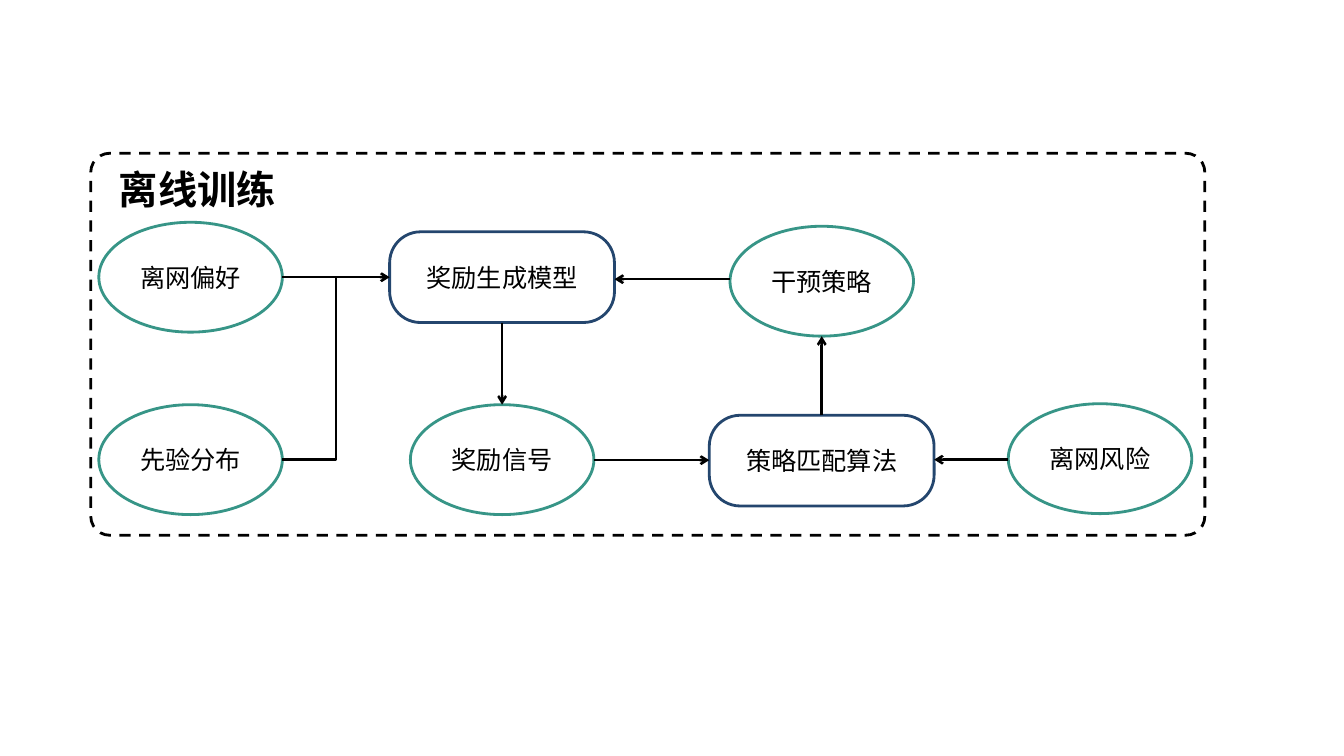
from pptx import Presentation, util as u
from pptx.dml.color import RGBColor
from pptx.enum import dml, shapes, text
from pptx.oxml.ns import qn
from lxml import etree

TEAL = RGBColor(0x37, 0x95, 0x87)
NAVY = RGBColor(0x24, 0x46, 0x6E)
BLACK = RGBColor(0, 0, 0)
KIND = shapes.MSO_SHAPE
LINK = shapes.MSO_CONNECTOR

OVAL = (KIND.OVAL, 1.82, 1.09, TEAL)
STEP = (KIND.ROUNDED_RECTANGLE, 2.23, 0.9, NAVY)
NODES = {
    "离网偏好": (OVAL, 1.89, 2.75),
    "先验分布": (OVAL, 1.89, 4.56),
    "奖励生成模型": (STEP, 4.98, 2.75),
    "奖励信号": (OVAL, 4.98, 4.56),
    "策略匹配算法": (STEP, 8.15, 4.57),
    "干预策略": (OVAL, 8.15, 2.79),
    "离网风险": (OVAL, 10.91, 4.55),
}
FLOWS = [
    ("离网偏好", "奖励生成模型"),
    ("干预策略", "奖励生成模型"),
    ("奖励生成模型", "奖励信号"),
    ("奖励信号", "策略匹配算法"),
    ("策略匹配算法", "干预策略"),
    ("离网风险", "策略匹配算法"),
]
TITLE = "离线训练"


def inches(*vals):
    return [u.Inches(v) for v in vals]


def outline(kind, box, color):
    shape = page.shapes.add_shape(kind, *inches(*box))
    shape.shadow.inherit = False
    shape.fill.background()
    shape.line.color.rgb = color
    shape.line.width = u.Pt(2)
    return shape


def style(frame, size, font, bold=False):
    frame.word_wrap = False
    run = frame.paragraphs[0].runs[0].font
    run.size, run.name, run.bold = u.Pt(size), font, bold
    run.color.rgb = BLACK


def draw(kind, start, end, arrow=True):
    line = page.shapes.add_connector(kind, *inches(*start, *end))
    line.line.color.rgb = BLACK
    line.line.width = u.Pt(1.75)
    props = line._element.spPr
    if arrow:
        etree.SubElement(props.find(qn("a:ln")), qn("a:tailEnd"), type="arrow")
    etree.SubElement(props, qn("a:effectLst"))
    return line


def ends(src, dst):
    (_, w1, h1, _), x1, y1 = NODES[src]
    (_, w2, h2, _), x2, y2 = NODES[dst]
    if abs(x2 - x1) > abs(y2 - y1):
        way, mid = (1 if x2 > x1 else -1), (y1 + y2) / 2
        return (x1 + way * w1 / 2, mid), (x2 - way * w2 / 2, mid)
    way, mid = (1 if y2 > y1 else -1), (x1 + x2) / 2
    return (mid, y1 + way * h1 / 2), (mid, y2 - way * h2 / 2)


deck = Presentation()
deck.slide_width, deck.slide_height = inches(13.33, 7.5)
page = deck.slides.add_slide(deck.slide_layouts[5])

frame = outline(KIND.ROUNDED_RECTANGLE, (0.9, 1.52, 11.05, 3.79), BLACK)
frame.adjustments[0] = 0.05
frame.line.dash_style = dml.MSO_LINE.DASH

title = page.shapes.title
title.left, title.top, title.width, title.height = inches(1.08, 1.59, 1.78, 0.57)
title.text_frame.text = TITLE
title.text_frame.vertical_anchor = text.MSO_ANCHOR.MIDDLE
title.text_frame.paragraphs[0].alignment = text.PP_ALIGN.LEFT
style(title.text_frame, 28, "Lato", True)

for label, ((kind, w, h, color), x, y) in NODES.items():
    node = outline(kind, (x - w / 2, y - h / 2, w, h), color)
    if kind == KIND.ROUNDED_RECTANGLE:
        node.adjustments[0] = 0.34
    node.text_frame.text = label
    node.text_frame.paragraphs[0].alignment = text.PP_ALIGN.CENTER
    style(node.text_frame, 18, "Times New Roman")

for src, dst in FLOWS:
    draw(LINK.STRAIGHT, *ends(src, dst))

start, end = ends("离网偏好", "奖励生成模型")
joint = ((start[0] + end[0]) / 2, start[1])
elbow = draw(LINK.ELBOW, (start[0], NODES["先验分布"][2]), joint, False)
elbow._element.spPr.find(qn("a:prstGeom")).set("prst", "bentConnector2")

deck.save("out.pptx")
